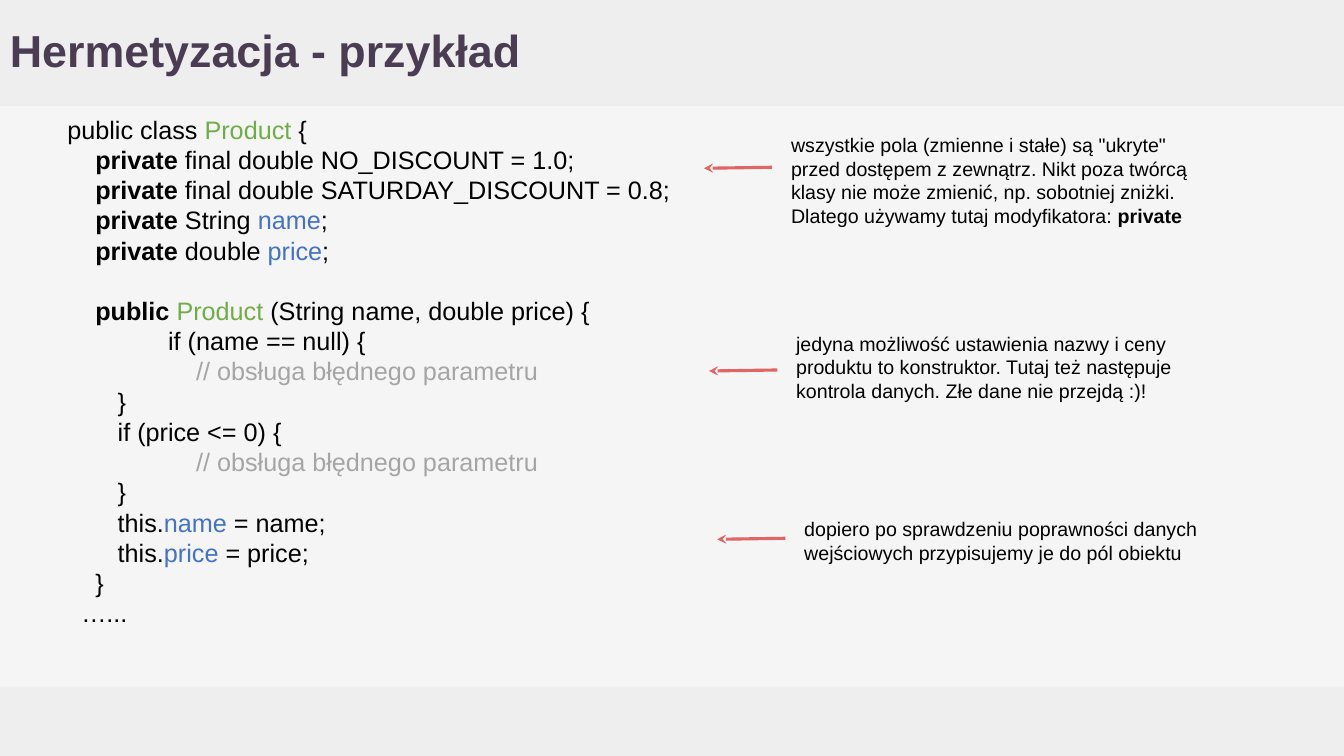
import pptx
import pptx.util
import pptx.dml.color
import pptx.enum.shapes
import pptx.enum.text
import pptx.oxml
import pptx.oxml.ns

Pt = pptx.util.Pt
W, H = 960, 540
FONT = "Arial"
HUES = {
    "back": "F5F5F5", "band": "EEEEEE", "title": "4A3D53", "text": "000000",
    "type": "70AD47", "field": "4472C4", "note": "A5A5A5", "arrow": "E06666",
}

BANDS = [(491, 49), (0, 75.6)]
TITLE = [(0, 0, [("Hermetyzacja - przykład", "title", True)])]

STEP, TAB = 36, 72
GAP = 21.5
REMARK = (TAB, 0, [("    ", "text", False), ("// obsługa błędnego parametru", "note", False)])
CLOSE = (STEP, 0, [("}", "text", False)])


def member(word, rest, gap=0):
    return (0, gap, [("    ", "text", False), (word, "text", True)] + rest)


def assign(name):
    return (STEP, 0, [("this.", "text", False), (name, "field", False),
                      (f" = {name};", "text", False)])


CODE = [
    (0, 0, [("public class ", "text", False), ("Product ", "type", False), ("{", "text", False)]),
    member("private ", [("final double NO_DISCOUNT = 1.0;", "text", False)]),
    member("private ", [("final double SATURDAY_DISCOUNT = 0.8;", "text", False)]),
    member("private ", [("String ", "text", False), ("name", "field", False), (";", "text", False)]),
    member("private ", [("double ", "text", False), ("price", "field", False), (";", "text", False)]),
    member("public ", [("Product ", "type", False),
                       ("(String name, double price) {", "text", False)], GAP),
    (TAB, 0, [("if (name == null) {", "text", False)]),
    REMARK,
    CLOSE,
    (STEP, 0, [("if (price <= 0) {", "text", False)]),
    REMARK,
    CLOSE,
    assign("name"),
    assign("price"),
    (0, 0, [("    }", "text", False)]),
    (0, 0, [("  …...", "text", False)]),
]

NOTES = [
    (558, 87.8, 75.6, 120.2, [
        (0, 0, [('wszystkie pola (zmienne i stałe) są "ukryte" przed dostępem z zewnątrz. '
                 "Nikt poza twórcą klasy nie może zmienić, np. sobotniej zniżki.", "text", False)]),
        (0, 0, [("Dlatego używamy tutaj modyfikatora: ", "text", False), ("private", "text", True)]),
    ]),
    (561.6, 229.7, 54, 265, [
        (0, 0, [("jedyna możliwość ustawienia nazwy i ceny produktu to konstruktor. "
                 "Tutaj też następuje kontrola danych. Złe dane nie przejdą :)!", "text", False)]),
    ]),
    (567.4, 362.2, 54, 385.2, [
        (0, 0, [("dopiero po sprawdzeniu poprawności danych wejściowych "
                 "przypisujemy je do pól obiektu", "text", False)]),
    ]),
]
REACH, LENGTH, RISE = 55.2, 48.8, 0.7


def hue(key):
    return pptx.dml.color.RGBColor.from_string(HUES[key])


def write(shapes, left, top, width, height, lines, size):
    box = shapes.add_textbox(Pt(left), Pt(top), Pt(width), Pt(height))
    frame = box.text_frame
    frame.word_wrap = True
    frame.margin_left = frame.margin_right = Pt(7.2)
    frame.margin_top = frame.margin_bottom = Pt(7.2)
    for i, (indent, gap, runs) in enumerate(lines):
        para = frame.paragraphs[0] if i == 0 else frame.add_paragraph()
        if indent:
            props = para._p.get_or_add_pPr()
            props.set("marL", "0")
            props.set("indent", str(Pt(indent)))
        if gap:
            para.space_before = Pt(gap)
        for text, key, bold in runs:
            run = para.add_run()
            run.text = text
            run.font.name = FONT
            run.font.size = Pt(size)
            run.font.bold = bold
            run.font.color.rgb = hue(key)
    return frame


def arrow(shapes, left, top):
    line = shapes.add_connector(pptx.enum.shapes.MSO_CONNECTOR.STRAIGHT, Pt(left), Pt(top),
                                Pt(left + LENGTH), Pt(top - RISE))
    line.line.color.rgb = hue("arrow")
    line.line.width = Pt(2.25)
    space = pptx.oxml.ns.nsdecls("a")
    edge = line.line._get_or_add_ln()
    edge.append(pptx.oxml.parse_xml(f'<a:headEnd {space} type="stealth"/>'))
    line._element.spPr.append(pptx.oxml.parse_xml(f"<a:effectLst {space}/>"))


def main():
    deck = pptx.Presentation()
    deck.slide_width, deck.slide_height = Pt(W), Pt(H)
    slide = deck.slides.add_slide(deck.slide_layouts[6])
    slide.background.fill.solid()
    slide.background.fill.fore_color.rgb = hue("back")
    shapes = slide.shapes

    for top, height in BANDS:
        band = shapes.add_shape(pptx.enum.shapes.MSO_SHAPE.RECTANGLE,
                                0, Pt(top), Pt(W), Pt(height))
        band.shadow.inherit = False
        band.fill.solid()
        band.fill.fore_color.rgb = hue("band")
        band.line.fill.background()

    title = write(shapes, 0, 0, 858, 75.6, TITLE, 32)
    title.vertical_anchor = pptx.enum.text.MSO_ANCHOR.MIDDLE
    title.paragraphs[0].line_spacing = 0.9

    write(shapes, 41, 74.2, 459.4, 424, CODE, 18)

    for left, top, height, level, lines in NOTES:
        group = shapes.add_group_shape()
        arrow(group.shapes, left - REACH, level)
        write(group.shapes, left, top, 316, height, lines, 14)

    deck.save("out.pptx")


if __name__ == "__main__":
    main()
